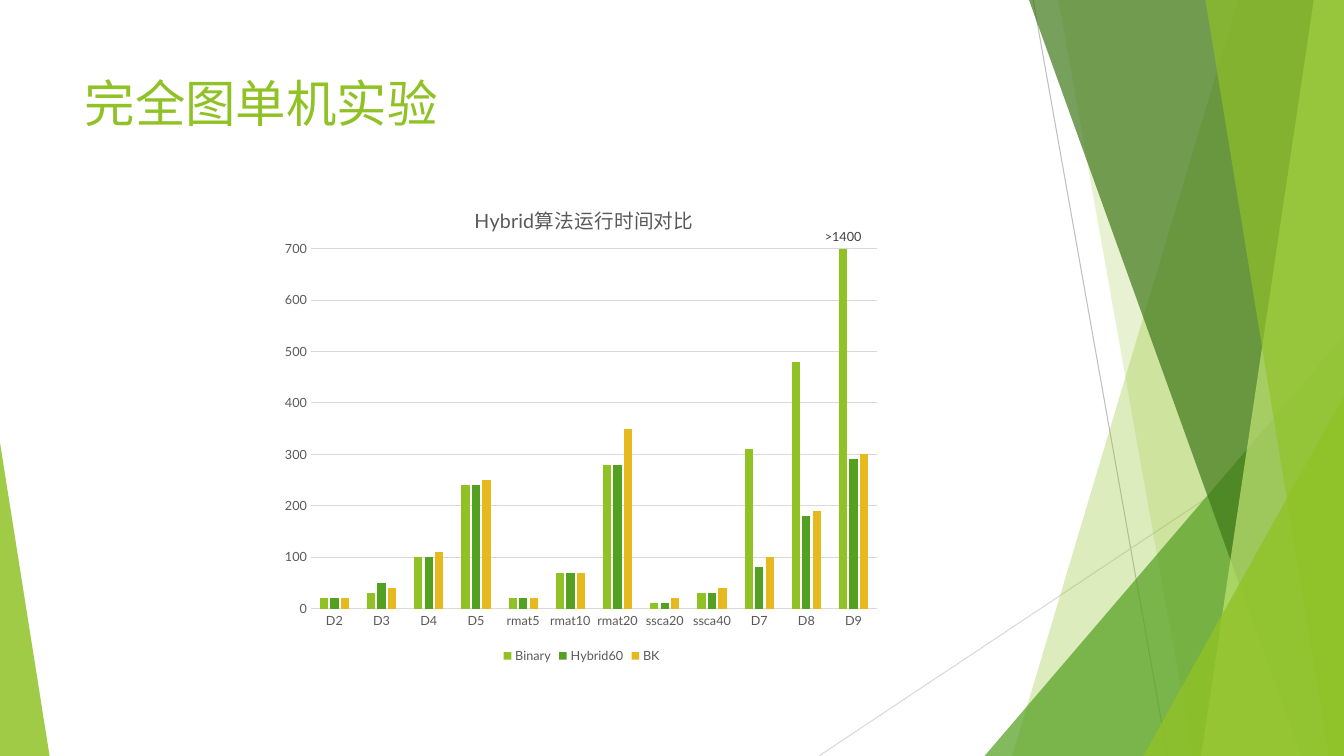
from dataclasses import dataclass

from lxml.etree import SubElement
from pptx import Presentation
from pptx.chart.data import CategoryChartData
from pptx.dml.color import RGBColor
from pptx.enum.chart import XL_CHART_TYPE, XL_LABEL_POSITION, XL_LEGEND_POSITION, XL_TICK_MARK
from pptx.enum.shapes import MSO_CONNECTOR, MSO_SHAPE
from pptx.enum.text import MSO_ANCHOR
from pptx.oxml import parse_xml
from pptx.oxml.ns import nsdecls, qn
from pptx.util import Inches, Pt

COLUMNS, ROWS = 160, 90
FONT = "Lato"
WHITE = RGBColor(0xFF, 0xFF, 0xFF)
LIME = RGBColor(0x90, 0xC2, 0x26)
GREEN = RGBColor(0x54, 0xA0, 0x21)
FOREST = RGBColor(0x3F, 0x78, 0x19)
PALE_LIME = RGBColor(0xC0, 0xE4, 0x74)
GOLD = RGBColor(0xE6, 0xB9, 0x1E)
MID_GREY = RGBColor(0xBF, 0xBF, 0xBF)
LIGHT_GREY = RGBColor(0xD9, 0xD9, 0xD9)
TEXT_GREY = RGBColor(0x59, 0x59, 0x59)
LABEL_GREY = RGBColor(0x40, 0x40, 0x40)

DATASETS = ["D2", "D3", "D4", "D5", "rmat5", "rmat10", "rmat20",
            "ssca20", "ssca40", "D7", "D8", "D9"]
RUN_TIMES = [
    ("Binary", LIME, [20, 30, 100, 240, 20, 70, 280, 10, 30, 310, 480, 700]),
    ("Hybrid60", GREEN, [20, 50, 100, 240, 20, 70, 280, 10, 30, 80, 180, 290]),
    ("BK", GOLD, [20, 40, 110, 250, 20, 70, 350, 20, 40, 100, 190, 300]),
]


@dataclass
class Box:
    left: int
    top: int
    width: int
    height: int

    def point(self, column, row):
        return (self.left + round(self.width * column / COLUMNS),
                self.top + round(self.height * row / ROWS))

    def area(self, column, row, columns, rows):
        left, top = self.point(column, row)
        right, bottom = self.point(column + columns, row + rows)
        return Box(left, top, right - left, bottom - top)

    def bounds(self):
        return self.left, self.top, self.width, self.height


def paint(shape, color, opacity):
    shape.shadow.inherit = False
    shape.fill.solid()
    shape.fill.fore_color.rgb = color
    shape.line.fill.background()
    tint = shape.element.spPr.find(".//" + qn("a:srgbClr"))
    SubElement(tint, qn("a:alpha"), val=str(opacity * 1000))


def add_hairline(page, box, start, end, color):
    line = page.shapes.add_connector(MSO_CONNECTOR.STRAIGHT, *box.point(*start), *box.point(*end))
    line.line.color.rgb = color
    line.line.width = Pt(0.75)
    SubElement(line.element.spPr, qn("a:effectLst"))


def add_wedge(page, box, top_column, bottom_column, color, opacity):
    outline = page.shapes.build_freeform(*box.point(top_column, 0))
    corners = [(COLUMNS, 0), (COLUMNS, ROWS), (bottom_column, ROWS)]
    outline.add_line_segments([box.point(*corner) for corner in corners], close=True)
    paint(outline.convert_to_shape(), color, opacity)


def add_corner(page, box, column, row, columns, peak, color, opacity):
    area = box.area(column, row, columns, ROWS - row)
    corner = page.shapes.add_shape(MSO_SHAPE.ISOSCELES_TRIANGLE, *area.bounds())
    corner.adjustments[0] = peak
    paint(corner, color, opacity)


def add_facets(page, box):
    add_hairline(page, box, (123, 0), (139, ROWS), MID_GREY)
    add_hairline(page, box, (COLUMNS, 48.4), (97.5, ROWS), LIGHT_GREY)
    add_wedge(page, box, 147.4, 120.5, LIME, 30)
    add_wedge(page, box, 126, 142, LIME, 20)
    add_corner(page, box, 117.2, 40, 42.8, 1, GREEN, 72)
    add_wedge(page, box, 122.5, 154.9, FOREST, 70)
    add_wedge(page, box, 156.4, 143, PALE_LIME, 70)
    add_wedge(page, box, 143.5, 158.2, LIME, 65)
    add_corner(page, box, 136.1, 47.2, 23.9, 1, LIME, 80)
    add_corner(page, box, 0, 52.7, 5.9, 0, LIME, 85)


def style_font(font, size, color):
    font.name = FONT
    font.size = Pt(size)
    font.bold = False
    font.color.rgb = color


def add_heading(page, box):
    frame = page.shapes.add_textbox(*box.bounds()).text_frame
    frame.word_wrap = True
    frame.vertical_anchor = MSO_ANCHOR.TOP
    frame.text = "完全图单机实验"
    style_font(frame.paragraphs[0].runs[0].font, 36, LIME)


def set_layout(parent, index, settings):
    for layout in parent.findall(qn("c:layout")):
        parent.remove(layout)
    layout = parse_xml(f"<c:layout {nsdecls('c')}><c:manualLayout/></c:layout>")
    for name, value in settings:
        SubElement(layout[0], qn("c:" + name), val=str(value))
    parent.insert(index, layout)


def style_axes(chart):
    for axis in (chart.category_axis, chart.value_axis):
        axis.major_tick_mark = XL_TICK_MARK.NONE
        axis.minor_tick_mark = XL_TICK_MARK.NONE
        style_font(axis.tick_labels.font, 9, TEXT_GREY)
    values = chart.value_axis
    values.minimum_scale, values.maximum_scale, values.major_unit = 0, 700, 100
    values.format.line.fill.background()
    values.has_major_gridlines = True
    for line in (values.major_gridlines.format.line, chart.category_axis.format.line):
        line.color.rgb = LIGHT_GREY
        line.width = Pt(0.75)


def add_run_time_chart(page, box):
    data = CategoryChartData()
    data.categories = DATASETS
    for name, _, times in RUN_TIMES:
        data.add_series(name, times)
    chart = page.shapes.add_chart(XL_CHART_TYPE.COLUMN_CLUSTERED, *box.bounds(), data).chart
    style_font(chart.font, 10, TEXT_GREY)

    chart.has_title = True
    frame = chart.chart_title.text_frame
    frame.text = "Hybrid算法运行时间对比"
    style_font(frame.paragraphs[0].runs[0].font, 14, TEXT_GREY)
    set_layout(chart.chart_title.element, 1,
               [("xMode", "edge"), ("yMode", "edge"), ("x", 0.32), ("y", 0.05)])
    set_layout(chart.element.find(".//" + qn("c:plotArea")), 0,
               [("layoutTarget", "inner"), ("xMode", "edge"), ("yMode", "edge"),
                ("x", 0.06), ("y", 0.15), ("w", 0.92), ("h", 0.73)])

    chart.has_legend = True
    chart.legend.position = XL_LEGEND_POSITION.BOTTOM
    chart.legend.include_in_layout = False
    style_font(chart.legend.font, 9, TEXT_GREY)
    style_axes(chart)

    plot = chart.plots[0]
    plot.gap_width, plot.overlap = 219, -27
    plot.vary_by_categories = False
    for series, (_, color, _) in zip(plot.series, RUN_TIMES):
        series.format.fill.solid()
        series.format.fill.fore_color.rgb = color

    label = plot.series[0].points[len(DATASETS) - 1].data_label
    label.text_frame.text = ">1400"
    style_font(label.text_frame.paragraphs[0].runs[0].font, 9, LABEL_GREY)
    label.position = XL_LABEL_POSITION.OUTSIDE_END


def main():
    deck = Presentation()
    deck.slide_width, deck.slide_height = Inches(13.33), Inches(7.5)
    page = deck.slides.add_slide(deck.slide_layouts[6])
    page.background.fill.solid()
    page.background.fill.fore_color.rgb = WHITE
    slide_box = Box(0, 0, deck.slide_width, deck.slide_height)
    add_facets(page, slide_box)
    add_heading(page, slide_box.area(8.9, 8, 112.8, 17.3))
    add_run_time_chart(page, slide_box.area(32.6, 20.8, 73.3, 58.7))
    deck.save("out.pptx")


if __name__ == "__main__":
    main()
